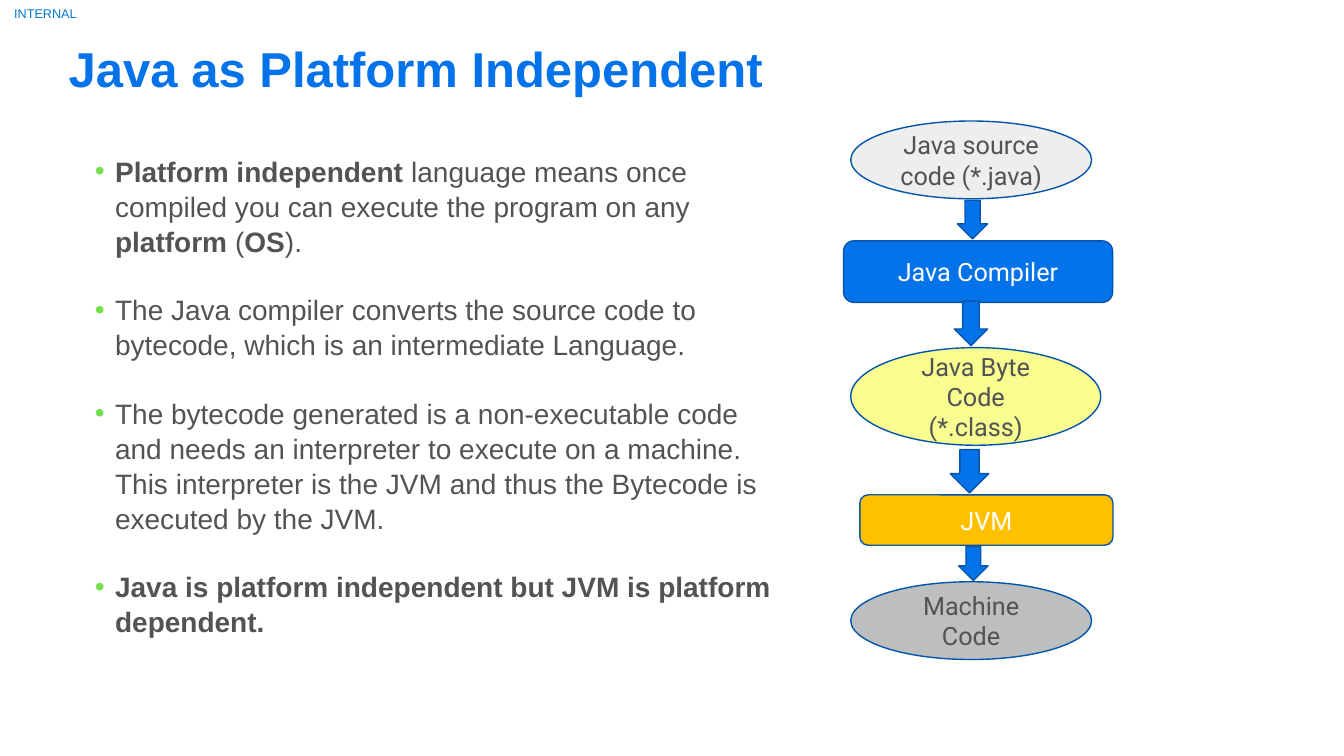
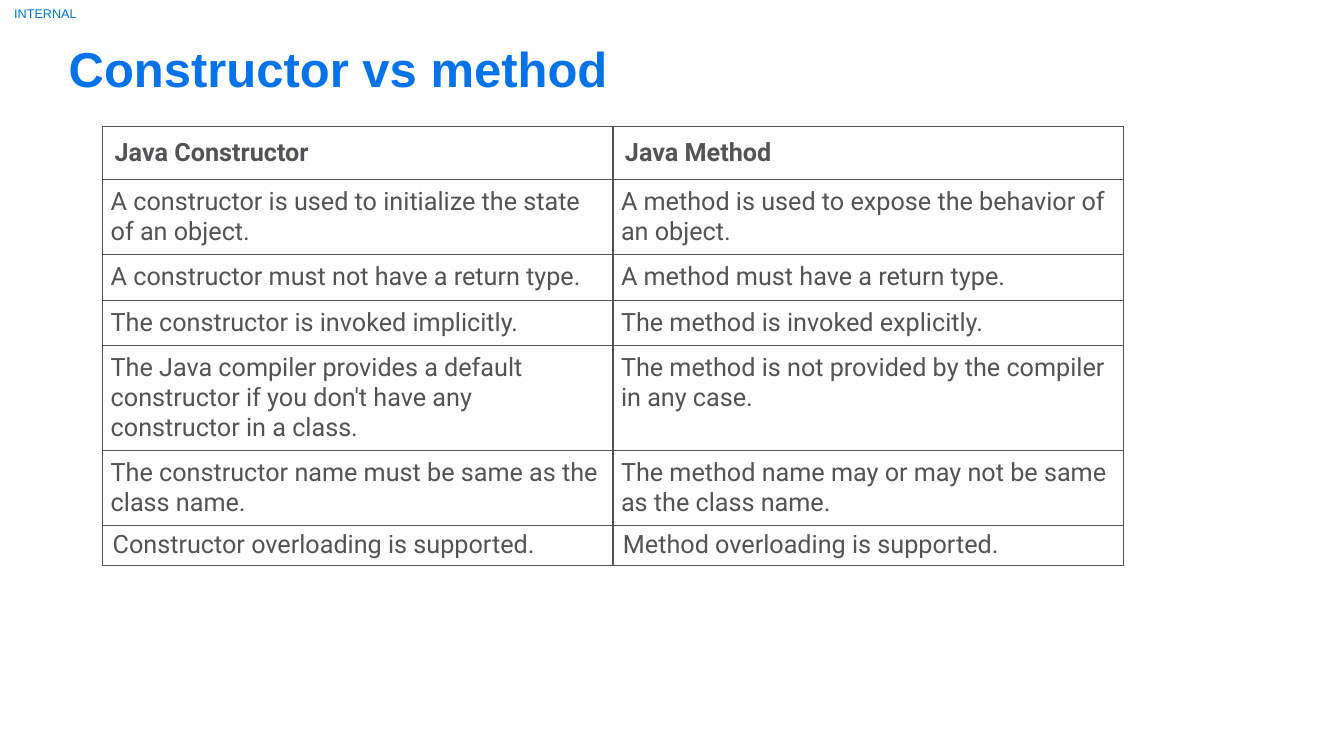
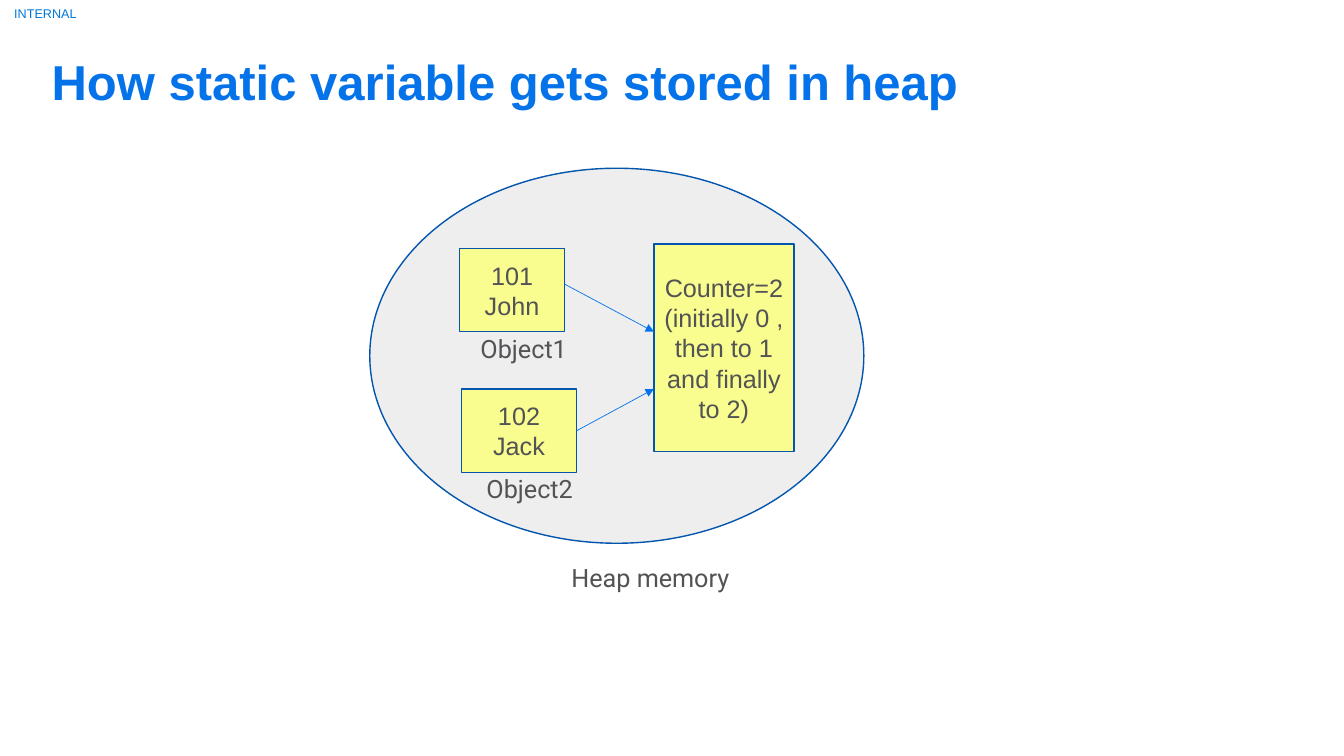
import lxml.etree
import pptx
import pptx.dml.color
import pptx.enum.shapes
import pptx.enum.text
import pptx.oxml.ns
import pptx.util

Cm = pptx.util.Cm
Pt = pptx.util.Pt
RGBColor = pptx.dml.color.RGBColor
Shape = pptx.enum.shapes.MSO_SHAPE
Align = pptx.enum.text.PP_ALIGN
Anchor = pptx.enum.text.MSO_ANCHOR
AutoSize = pptx.enum.text.MSO_AUTO_SIZE

BLUE = RGBColor(0x04, 0x73, 0xEA)
DARK_BLUE = RGBColor(0x03, 0x55, 0xAD)
LABEL_BLUE = RGBColor(0x00, 0x78, 0xD7)
GREEN = RGBColor(0x74, 0xDF, 0x4C)
YELLOW = RGBColor(0xF9, 0xFC, 0x8E)
AMBER = RGBColor(0xFF, 0xC0, 0x00)
TEXT_GRAY = RGBColor(0x52, 0x53, 0x55)
LIGHT_GRAY = RGBColor(0xEE, 0xEE, 0xEE)
MID_GRAY = RGBColor(0xBC, 0xBE, 0xC0)
WHITE = RGBColor(0xFF, 0xFF, 0xFF)

NO_MARGINS = dict.fromkeys(("margin_left", "margin_top", "margin_right", "margin_bottom"), 0)
TITLE_AND_CONTENT, TITLE_ONLY = 1, 5


def apply_format(target, values):
    for name, value in values.items():
        setattr(target, name, value)


def add_xml(parent, tag, **attributes):
    return lxml.etree.SubElement(parent, pptx.oxml.ns.qn(tag), attributes)


def add_solid_color(parent, color):
    add_xml(add_xml(parent, "a:solidFill"), "a:srgbClr", val=str(color))


class Deck:
    """Holds the shared style and the slide being filled."""

    title_font = {"name": "Arial", "size": Pt(35), "bold": True}
    body_font = {"name": "Arial", "size": Pt(20)}
    diagram_font = {"name": "Roboto", "size": Pt(18)}
    arial_font = {"name": "Arial", "size": Pt(18)}
    label_font = {"name": "Arial", "size": Pt(9)}

    def __init__(self):
        self.presentation = pptx.Presentation()
        apply_format(self.presentation, {"slide_width": Cm(33.87), "slide_height": Cm(19.05)})
        self.slide = None

    def add_slide(self, title, layout=TITLE_ONLY, left=1.73, top=0.97):
        layouts = self.presentation.slide_layouts
        self.slide = self.presentation.slides.add_slide(layouts[layout])
        shape = self.slide.shapes.title
        self.place(shape, left, top, 26.47, 2.44)
        self.add_run(shape.text_frame.paragraphs[0], title, self.title_font, BLUE)

    def place(self, placeholder, left, top, width, height):
        apply_format(placeholder, {"left": Cm(left), "top": Cm(top),
                                   "width": Cm(width), "height": Cm(height)})
        apply_format(placeholder.text_frame, {
            **NO_MARGINS, "word_wrap": True, "auto_size": AutoSize.NONE,
            "vertical_anchor": Anchor.TOP})

    def add_run(self, paragraph, text, font, color, alignment=Align.LEFT):
        paragraph.alignment = alignment
        run = paragraph.add_run()
        run.text = text
        apply_format(run.font, font)
        run.font.color.rgb = color

    def add_master_label(self, text):
        """Put a small label on the master, so that every slide shows it."""
        box = self.add_text(text, 0.36, 0, 2.29, 0.66, self.label_font, LABEL_BLUE)
        apply_format(box.text_frame, {**NO_MARGINS, "vertical_anchor": Anchor.MIDDLE})
        self.presentation.slide_master.shapes.element.append(box.element)

    def add_bullets(self, items):
        """Fill the body; each item is a list of (text, bold) pieces."""
        body = self.slide.placeholders[1]
        self.place(body, 2.39, 3.86, 17.32, 12.7)
        for index, pieces in enumerate(items):
            frame = body.text_frame
            paragraph = frame.add_paragraph() if index else frame.paragraphs[0]
            apply_format(paragraph, {"line_spacing": 1.04, "space_before": Pt(0),
                                     "space_after": Pt(24)})
            for text, bold in pieces:
                self.add_run(paragraph, text, {**self.body_font, "bold": bold}, TEXT_GRAY)
            properties = paragraph._p.get_or_add_pPr()
            properties.set("marL", str(Cm(0.51)))
            properties.set("indent", str(-Cm(0.51)))
            add_xml(add_xml(properties, "a:buClr"), "a:srgbClr", val=str(GREEN))
            add_xml(properties, "a:buChar", char="•")

    def add_shape(self, kind, left, top, width, height, fill, lines=(),
                  font=None, color=TEXT_GRAY):
        shape = self.slide.shapes.add_shape(kind, Cm(left), Cm(top), Cm(width), Cm(height))
        shape.shadow.inherit = False
        shape.fill.solid()
        shape.fill.fore_color.rgb = fill
        shape.line.color.rgb = DARK_BLUE
        shape.line.width = Pt(1)
        frame = shape.text_frame
        frame.vertical_anchor = Anchor.MIDDLE
        for index, line in enumerate(lines):
            paragraph = frame.add_paragraph() if index else frame.paragraphs[0]
            self.add_run(paragraph, line, font or self.diagram_font, color, Align.CENTER)
        return shape

    def add_text(self, text, left, top, width=4.65, height=1.02, font=None, color=TEXT_GRAY):
        box = self.slide.shapes.add_textbox(Cm(left), Cm(top), Cm(width), Cm(height))
        box.text_frame.word_wrap = True
        self.add_run(box.text_frame.paragraphs[0], text, font or self.diagram_font, color)
        return box

    def add_arrow(self, start, end):
        connector = self.slide.shapes.add_connector(
            pptx.enum.shapes.MSO_CONNECTOR.STRAIGHT, *map(Cm, start + end))
        connector.line.color.rgb = BLUE
        connector.line.width = Pt(0.5)
        add_xml(connector.line._get_or_add_ln(), "a:tailEnd", type="triangle")
        add_xml(connector._element.spPr, "a:effectLst")
        return connector

    def add_table(self, rows, left, top, column_width):
        """Each row is (height, side margin, top margin, texts); the first row is bold."""
        columns = len(rows[0][3])
        total_height = sum(row[0] for row in rows)
        table = self.slide.shapes.add_table(
            len(rows), columns, Cm(left), Cm(top),
            Cm(column_width * columns), Cm(total_height)).table
        for column in table.columns:
            column.width = Cm(column_width)
        for row_index, (height, side, upright, texts) in enumerate(rows):
            table.rows[row_index].height = Cm(height)
            font = {**self.diagram_font, "bold": row_index == 0}
            for column_index, text in enumerate(texts):
                cell = table.cell(row_index, column_index)
                apply_format(cell, {"margin_left": Cm(side), "margin_right": Cm(side),
                                    "margin_top": Cm(upright), "margin_bottom": Cm(upright)})
                self.add_run(cell.text_frame.paragraphs[0], text, font, TEXT_GRAY)
                properties = cell._tc.get_or_add_tcPr()
                for edge in ("a:lnL", "a:lnR", "a:lnT", "a:lnB"):
                    add_solid_color(add_xml(properties, edge, w=str(Pt(1))), TEXT_GRAY)
                cell.fill.solid()
                cell.fill.fore_color.rgb = WHITE


def build_platform_slide(deck):
    deck.add_slide("Java as Platform Independent", TITLE_AND_CONTENT)
    deck.add_master_label("INTERNAL")
    deck.add_bullets([
        [("Platform independent", True),
         (" language means once compiled you can execute the program on any ", False),
         ("platform", True), (" (", False), ("OS", True), ("). ", False)],
        [("The Java compiler converts the source code to bytecode, "
          "which is an intermediate Language.", False)],
        [("The bytecode generated is a non-executable code and needs an interpreter "
          "to execute on a machine. This interpreter is the JVM and thus the Bytecode "
          "is executed by the JVM.", False)],
        [("Java is platform independent but JVM is platform dependent.", True)],
    ])
    for kind, left, top, width, height, fill, text, color in (
            (Shape.OVAL, 21.44, 3.05, 6.07, 1.96, LIGHT_GRAY,
             "Java source code (*.java)", TEXT_GRAY),
            (Shape.ROUNDED_RECTANGLE, 21.26, 6.07, 6.78, 1.55, BLUE, "Java Compiler", WHITE),
            (Shape.OVAL, 21.44, 8.76, 6.3, 2.46, YELLOW, "Java Byte Code (*.class)", TEXT_GRAY),
            (Shape.ROUNDED_RECTANGLE, 21.67, 12.47, 6.38, 1.27, AMBER, "JVM", WHITE),
            (Shape.OVAL, 21.44, 14.66, 6.07, 1.96, MID_GRAY, "Machine Code", TEXT_GRAY)):
        deck.add_shape(kind, left, top, width, height, fill, [text], color=color)
    for bounds in ((24.13, 5.05, 0.76, 0.97), (24.05, 7.59, 0.84, 1.12),
                   (23.95, 11.33, 0.97, 1.09), (24.16, 13.77, 0.74, 0.86)):
        deck.add_shape(Shape.DOWN_ARROW, *bounds, BLUE)


def build_comparison_slide(deck):
    deck.add_slide("Constructor vs method")
    deck.add_table([
        (1.27, 0.3, 0.3, ("Java Constructor", "Java Method")),
        (1.75, 0.2, 0.2, ("A constructor is used to initialize the state of an object.",
                          "A method is used to expose the behavior of an object.")),
        (1.07, 0.2, 0.2, ("A constructor must not have a return type.",
                          "A method must have a return type.")),
        (1.07, 0.2, 0.2, ("The constructor is invoked implicitly.",
                          "The method is invoked explicitly.")),
        (2.44, 0.2, 0.2, ("The Java compiler provides a default constructor "
                          "if you don't have any constructor in a class.",
                          "The method is not provided by the compiler in any case.")),
        (1.75, 0.2, 0.2, ("The constructor name must be same as the class name.",
                          "The method name may or may not be same as the class name.")),
        (0.94, 0.25, 0.13, ("Constructor overloading is supported.",
                            "Method overloading is supported.")),
    ], left=2.59, top=3.18, column_width=12.86)


def build_heap_slide(deck):
    deck.add_slide("How static variable gets stored in heap", left=1.3, top=1.3)
    deck.add_shape(Shape.OVAL, 9.32, 4.24, 12.45, 9.45, LIGHT_GRAY)
    boxes = [
        deck.add_shape(Shape.RECTANGLE, *bounds, YELLOW, lines, deck.arial_font)
        for bounds, lines in (
            ((11.58, 6.27, 2.65, 2.08), ("101", "John")),
            ((11.63, 9.8, 2.9, 2.11), ("102", "Jack")),
            ((16.48, 6.15, 3.53, 5.23),
             ("Counter=2 (initially 0 , then to 1 and finally to 2)",)))]
    deck.add_arrow((14.23, 7.16), (16.48, 8.36))
    second_arrow = deck.add_arrow((14.53, 10.86), (16.48, 9.8))
    second_arrow.begin_connect(boxes[1], 3)
    deck.add_text("Object1", 11.86, 8.28)
    deck.add_text("Object2", 12.01, 11.79)
    deck.add_text("Heap memory", 14.15, 14.05)


def main():
    deck = Deck()
    build_platform_slide(deck)
    build_comparison_slide(deck)
    build_heap_slide(deck)
    deck.presentation.save("out.pptx")


if __name__ == "__main__":
    main()
